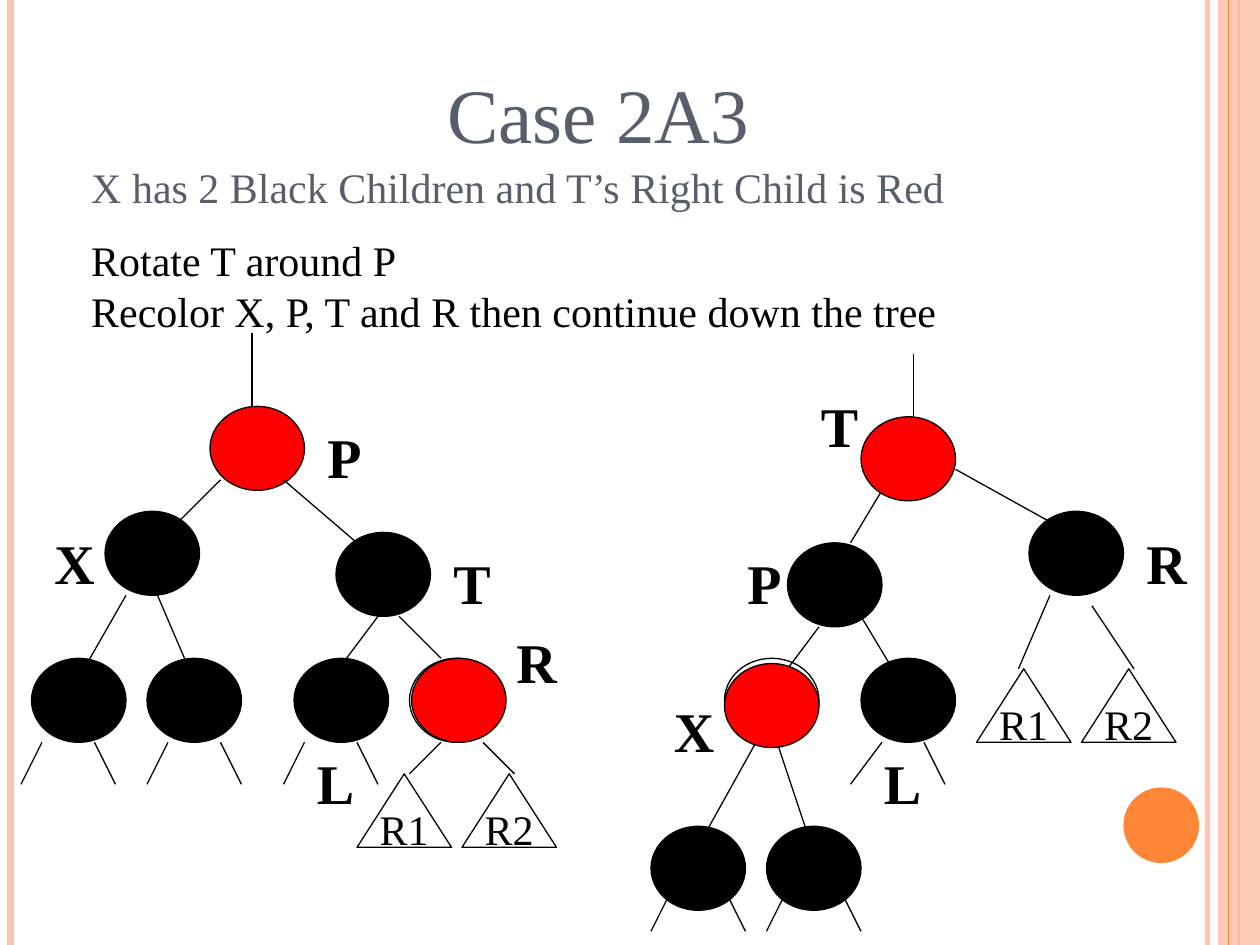
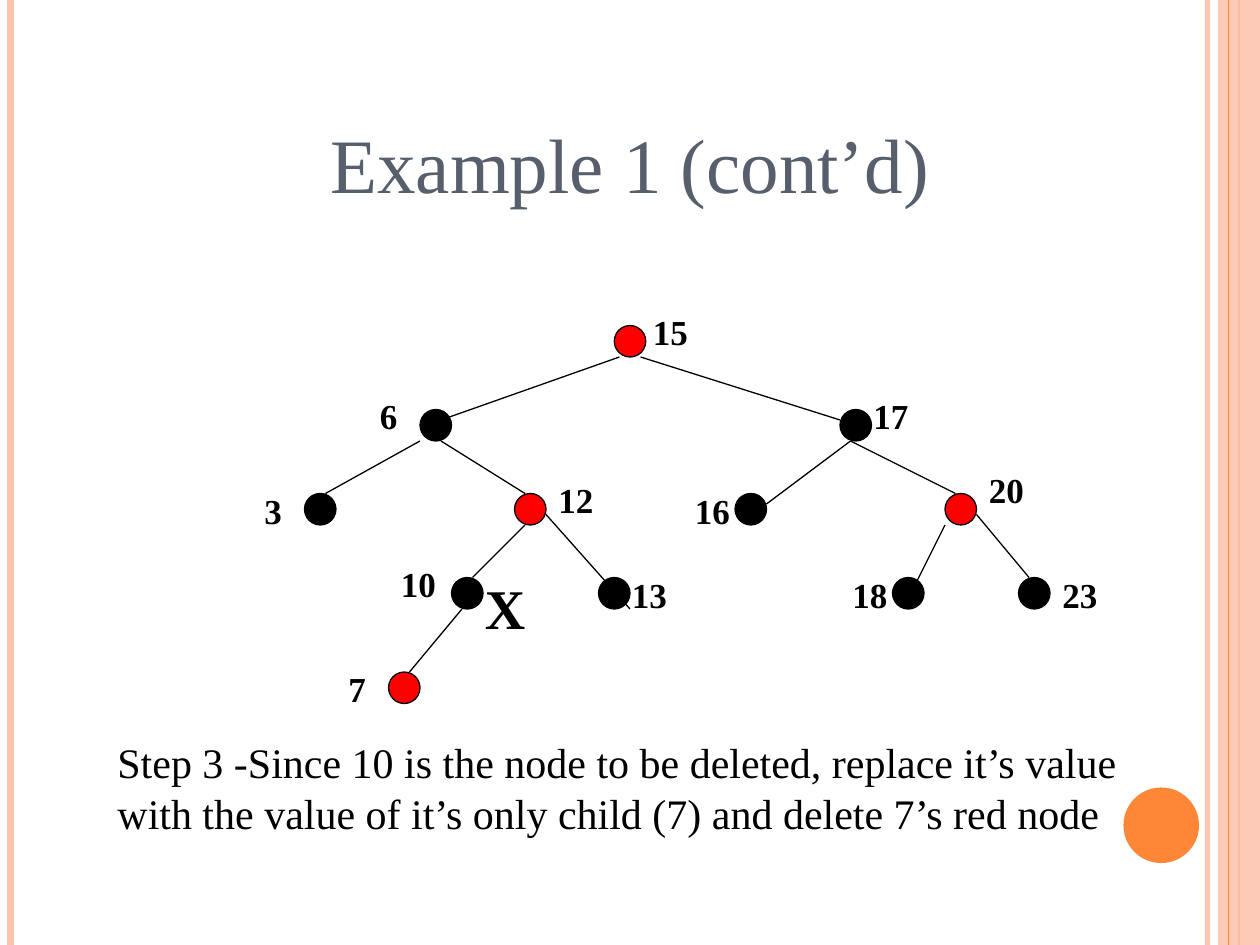
from dataclasses import dataclass

from pptx import Presentation
from pptx.dml.color import RGBColor
from pptx.enum.shapes import MSO_CONNECTOR, MSO_SHAPE
from pptx.enum.text import MSO_ANCHOR, MSO_AUTO_SIZE, PP_ALIGN
from pptx.oxml.ns import qn
from pptx.util import Emu, Pt

PIXEL = 7620  # 120 px to the inch
WIDTH, HEIGHT = 1200, 900
COLORS = {
    "black": "000000",
    "red": "FF0000",
    "white": "FFFFFF",
    "slate": "575F6D",
    "pink": "FEC3AE",
    "orange": "FE8637",
}
FORMATS = {
    "title": {"name": "Times New Roman", "size": Pt(44), "bold": False},
    "body": {"name": "Times New Roman", "size": Pt(24), "bold": False},
    "letter": {"name": "Times New Roman", "size": Pt(32), "bold": True},
    "number": {"name": "Times New Roman", "size": Pt(20), "bold": True},
}


@dataclass
class Tree:
    """Positions in px, relative to the tree's box."""
    node_size: tuple
    edges: list
    nodes: list          # (left, top, fill), drawn below the edges
    labels: list         # (text, left, top)
    label_size: tuple
    label_format: str
    top_nodes: tuple = ()  # drawn above the edges
    subtrees: tuple = ()   # (text, left, top)


def px(*lengths):
    return [Emu(length * PIXEL) for length in lengths]


def rgb(name):
    return RGBColor.from_string(COLORS[name])


def set_alpha(shape, percent):
    for color in list(shape.element.iter(qn("a:srgbClr"))):
        alpha = color.makeelement(qn("a:alpha"), {"val": str(percent * 1000)})
        color.append(alpha)


def write(paragraph, text, style, color):
    paragraph.text = text
    for run in paragraph.runs:
        for attribute, value in FORMATS[style].items():
            setattr(run.font, attribute, value)
        run.font.color.rgb = rgb(color)


def add_line(slide, start, end, color="black", width=0.75):
    line = slide.shapes.add_connector(MSO_CONNECTOR.STRAIGHT, *px(*start, *end))
    line.line.color.rgb = rgb(color)
    line.line.width = Pt(width)
    properties = line.element.spPr
    properties.append(properties.makeelement(qn("a:effectLst"), {}))
    return line


def add_figure(slide, preset, box, fill=None, outline="black"):
    shape = slide.shapes.add_shape(preset, *px(*box))
    shape.shadow.inherit = False
    if fill:
        shape.fill.solid()
        shape.fill.fore_color.rgb = rgb(fill)
    else:
        shape.fill.background()
    if outline:
        shape.line.color.rgb = rgb(outline)
        shape.line.width = Pt(0.75)
    else:
        shape.line.fill.background()
    return shape


def add_text(slide, box, paragraphs, style):
    """Paragraphs are (text, color) pairs."""
    frame = slide.shapes.add_textbox(*px(*box)).text_frame
    frame.word_wrap = True
    for index, (text, color) in enumerate(paragraphs):
        paragraph = frame.add_paragraph() if index else frame.paragraphs[0]
        if index:
            paragraph.space_before = Pt(13)
        write(paragraph, text, style, color)


def add_title(slide, box, text):
    title = slide.shapes.title
    title.left, title.top, title.width, title.height = px(*box)
    frame = title.text_frame
    frame.auto_size = MSO_AUTO_SIZE.NONE
    frame.vertical_anchor = MSO_ANCHOR.MIDDLE
    paragraph = frame.paragraphs[0]
    paragraph.alignment = PP_ALIGN.CENTER
    write(paragraph, text, "title", "slate")


def add_bands(slide):
    """Draw the side bands and the disc, and hand them to the layout."""
    def stripe(x, color, width):
        return add_line(slide, (x, 0), (x, HEIGHT), color, width)

    inner = stripe(1150, "pink", 3)
    set_alpha(inner, 93)
    left = stripe(10, "pink", 4.5)
    orange = stripe(1180, "orange", 1.5)
    band = add_figure(slide, MSO_SHAPE.RECTANGLE, (1160, 0, 40, HEIGHT), "pink", None)
    set_alpha(band, 87)
    thin = stripe(1170, "orange", 0.75)
    disc = add_figure(slide, MSO_SHAPE.OVAL, (1070, 750, 72, 72), "orange", None)
    for shape in (inner, left, orange, band, thin, disc):
        slide.slide_layout.shapes.element.append(shape.element)


def add_tree(slide, origin, tree):
    left, top = origin

    def place(x, y):
        return left + x, top + y

    def add_nodes(nodes):
        for x, y, fill in nodes:
            add_figure(slide, MSO_SHAPE.OVAL, (*place(x, y), *tree.node_size), fill)

    add_nodes(tree.nodes)
    for x1, y1, x2, y2 in tree.edges:
        add_line(slide, place(x1, y1), place(x2, y2))
    add_nodes(tree.top_nodes)
    # Subtrees
    for text, x, y in tree.subtrees:
        triangle = add_figure(slide, MSO_SHAPE.ISOSCELES_TRIANGLE,
                              (*place(x, y), 90, 70), "white")
        frame = triangle.text_frame
        frame.word_wrap = False
        frame.vertical_anchor = MSO_ANCHOR.MIDDLE
        frame.paragraphs[0].alignment = PP_ALIGN.CENTER
        write(frame.paragraphs[0], text, "body", "black")
    # Node labels
    for text, x, y in tree.labels:
        add_text(slide, (*place(x, y), *tree.label_size),
                 [(text, "black")], tree.label_format)


def open_legs(y, *starts):
    """Two short edges below each node that end without a child."""
    return [leg for x in starts
            for leg in ((x, y, x - 20, y + 40), (x + 50, y, x + 70, y + 40))]


BEFORE_ROTATION = Tree(
    node_size=(90, 80),
    nodes=[(180, 70, "red"), (80, 170, "black"), (300, 190, "black"),
           (10, 310, "black"), (120, 310, "black"), (260, 310, "black"),
           (370, 310, None)],
    top_nodes=((372, 310, "red"),),
    edges=[(220, 0, 220, 70), (190, 140, 150, 180), (250, 140, 320, 200),
           (100, 250, 60, 320), (130, 250, 160, 320),
           (340, 270, 310, 310), (360, 270, 400, 310),
           (400, 390, 370, 420), (440, 390, 470, 420),
           *open_legs(390, 20, 140, 270)],
    labels=[("P", 280, 80), ("T", 400, 200), ("X", 20, 180),
            ("R", 460, 275), ("L", 270, 390)],
    label_size=(60, 75),
    label_format="letter",
    subtrees=(("R1", 320, 420), ("R2", 420, 420)),
)
AFTER_ROTATION = Tree(
    node_size=(90, 80),
    nodes=[(70, 290, None), (130, 180, "black"), (360, 150, "black"),
           (0, 450, "black"), (110, 450, "black"), (200, 290, "black")],
    top_nodes=((200, 60, "red"), (70, 295, "red")),
    edges=[(250, 0, 250, 60), (220, 130, 190, 180), (290, 110, 380, 160),
           (160, 260, 130, 300), (200, 250, 230, 300),
           (100, 370, 50, 460), (120, 370, 150, 460),
           (380, 230, 350, 300), (420, 240, 460, 300),
           (220, 370, 190, 410), (260, 370, 280, 410),
           *open_legs(510, 20, 130)],
    labels=[("T", 150, 30), ("P", 80, 180), ("R", 460, 160),
            ("X", 10, 320), ("L", 210, 370)],
    label_size=(60, 75),
    label_format="letter",
    subtrees=(("R1", 310, 300), ("R2", 410, 300)),
)
NUMBER_TREE = Tree(
    node_size=(30, 30),
    nodes=[(345, 20, "red"), (160, 100, "black"), (560, 100, "black"),
           (50, 180, "black"), (250, 180, "red"), (460, 180, "black"),
           (660, 180, "red"), (190, 260, "black"), (330, 260, "black"),
           (610, 260, "black"), (730, 260, "black"), (130, 350, "red")],
    edges=[(350, 50, 180, 110), (370, 50, 560, 110),
           (160, 130, 70, 180), (180, 130, 260, 180),
           (570, 130, 490, 190), (570, 130, 670, 180),
           (260, 210, 210, 260), (280, 200, 360, 290),
           (660, 210, 630, 270), (690, 200, 740, 260),
           (200, 290, 150, 350)],
    labels=[("15", 370, 0), ("6", 110, 80), ("17", 580, 80), ("3", 0, 170),
            ("12", 280, 160), ("16", 410, 170), ("20", 690, 150),
            ("10", 130, 240), ("13", 350, 250), ("18", 560, 250),
            ("23", 760, 250), ("7", 80, 340)],
    label_size=(60, 52),
    label_format="number",
)


def build_rotation_slide(slide):
    add_title(slide, (60, 67, 1020, 80), "Case 2A3")
    add_text(slide, (75, 148, 990, 252), [
        ("X has 2 Black Children and T’s Right Child is Red", "slate"),
        ("Rotate T around P\vRecolor X, P, T and R then continue down the tree",
         "black"),
    ], "body")
    add_tree(slide, (20, 317), BEFORE_ROTATION)
    add_tree(slide, (620, 337), AFTER_ROTATION)


def build_deletion_slide(slide):
    add_title(slide, (90, 80, 1020, 150), "Example 1 (cont’d)")
    add_tree(slide, (240, 290), NUMBER_TREE)
    add_text(slide, (100, 696, 990, 108), [
        ("Step 3 -Since 10 is the node to be deleted, replace it’s value "
         "with the value of it’s only child (7) and delete 7’s red node", "black"),
    ], "body")
    # Mark on the deleted node
    add_text(slide, (450, 540, 70, 75), [("X", "black")], "letter")


def main():
    presentation = Presentation()
    presentation.slide_width, presentation.slide_height = px(WIDTH, HEIGHT)
    title_only = presentation.slide_layouts[5]
    rotation = presentation.slides.add_slide(title_only)
    add_bands(rotation)
    build_rotation_slide(rotation)
    build_deletion_slide(presentation.slides.add_slide(title_only))
    presentation.save("out.pptx")


if __name__ == "__main__":
    main()
